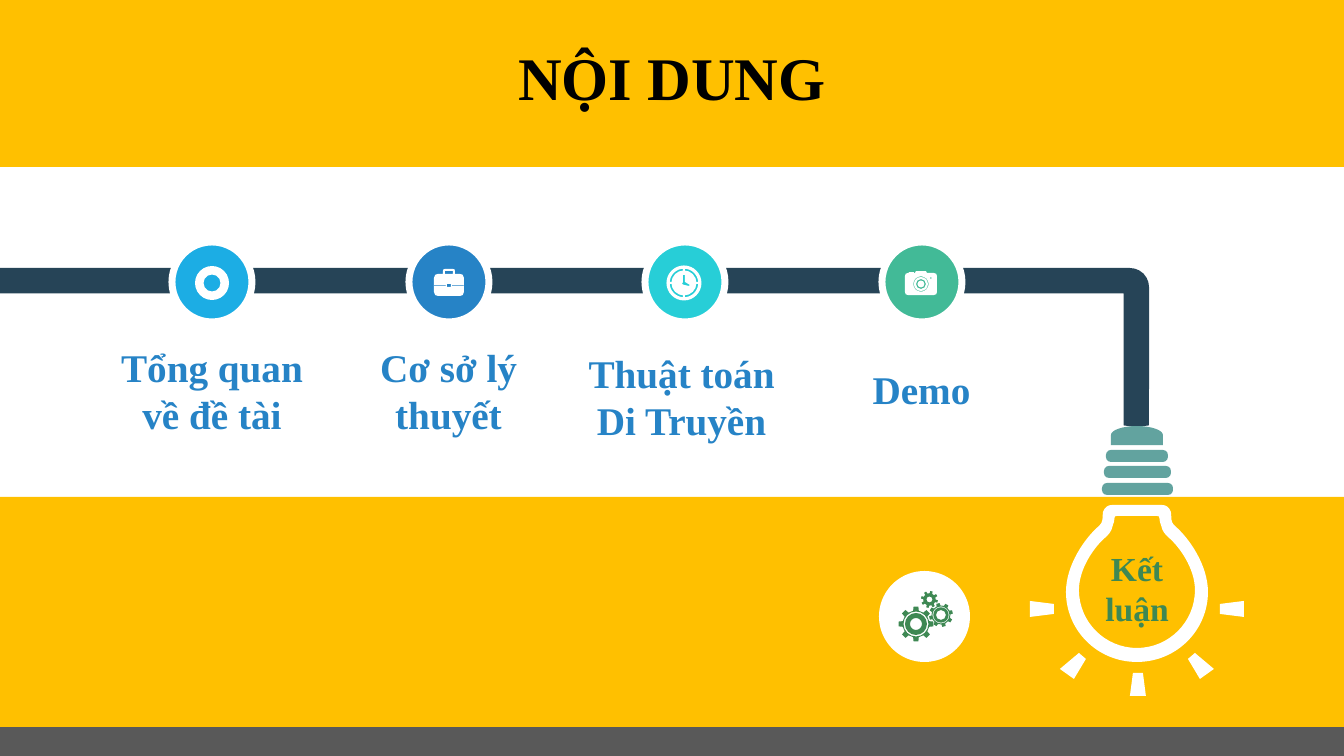
from math import cos, radians, sin

from lxml.etree import SubElement
from pptx import Presentation
from pptx.dml.color import RGBColor
from pptx.enum.shapes import MSO_SHAPE
from pptx.enum.text import MSO_ANCHOR, MSO_AUTO_SIZE, PP_ALIGN
from pptx.oxml.ns import qn
from pptx.util import Emu, Pt

COLORS = {
    "white": "FFFFFF", "amber": "FFC000", "gray": "595959", "navy": "264457",
    "teal": "62A39F", "green": "3E8853", "black": "000000", "sky": "1CADE4",
    "blue": "2683C6", "cyan": "27CED7", "mint": "42BA97",
}
BANDS = [(727, 29, "gray"), (0, 167, "amber"), (497, 230, "amber")]
NODE_COLORS = ["sky", "blue", "cyan", "mint"]
TOP, MIDDLE = MSO_ANCHOR.TOP, MSO_ANCHOR.MIDDLE
TEXTS = [
    ("NỘI DUNG", (0, 33, 1344, 86), 43.2, "black", MIDDLE),
    ("Tổng quan về đề tài", (110, 338, 204, 105), 28, "blue", MIDDLE),
    ("Cơ sở lý thuyết", (353, 338, 191, 105), 28, "blue", MIDDLE),
    ("Thuật toán Di Truyền", (575, 344, 213, 105), 28, "blue", MIDDLE),
    ("Demo", (826, 360, 191, 57), 28, "blue", MIDDLE),
    ("Kết luận", (1084, 543, 106, 92), 24, "green", TOP),
]

CAP_HALF = [(0, 445), (-26, 445), (-26, 435), (-26, 430, -14, 426, 0, 426)]
BULB_OUTER_HALF = [
    (0, 662), (-40, 662, -71, 630, -71, 592), (-71, 565, -52, 538, -38, 526),
    (-33, 521, -35, 519, -34, 512), (-32, 507, -29, 505, -25, 505),
]
BULB_INNER_HALF = [
    (0, 648), (-32, 648, -58, 622, -58, 590), (-58, 569, -43, 547, -31, 537),
    (-24, 530, -26, 530, -23, 522), (-22, 516, -23, 516, -19, 516),
]
SIDE_RAYS = [
    [(-107, 617), (-107, 601), (-83, 604), (-83, 614)],
    [(-63, 679), (-77, 669), (-58, 653), (-51, 659)],
]
BOTTOM_RAY = [(-7, 696), (9, 696), (6, 673), (-4, 673)]
CASE_HALF = [
    (0, 14), (-11, 14), (-13, 14, -15, 13, -15, 10), (-15, -4),
    (-15, -7, -13, -8, -11, -8), (-6, -8), (-6, -11), (-6, -13, -5, -13, -4, -13),
]
CAMERA_HALF = [
    (0, 13), (-13, 13), (-15, 13, -16, 12, -16, 10), (-16, -6),
    (-16, -8, -15, -9, -13, -9), (-6, -9), (-5, -11),
]
CLOCK_HANDS = [(-1, -8), (1, -8), (1, -1), (6, 2), (5, 3), (0, 2), (-2, 1), (-1, -1)]
GEARS = [
    (916, 624, 13.5, 17.5, -90, (12.5, 11, 6)),
    (941, 615, 9.5, 12, -105, (8.5, 7.7, 5)),
    (929.5, 599.5, 6.2, 8.5, -76, (3,)),
]
TEETH = 8
LAMP_X = 1137
NODE_Y, NODE_SIZE, FIRST_NODE_X, NODE_PITCH = 282, 80, 212, 236.6

deck = Presentation()


def emu(px):
    return Emu(round(px * 914400 / 100.8))


deck.slide_width, deck.slide_height = emu(1344), emu(756)
page = deck.slides.add_slide(deck.slide_layouts[6])


def paint(shape, color, outline=None):
    shape.shadow.inherit = False
    shape.fill.solid()
    shape.fill.fore_color.rgb = RGBColor.from_string(COLORS[color])
    if outline:
        shape.line.color.rgb = RGBColor.from_string(COLORS[outline])
        shape.line.width = Pt(5)
    else:
        shape.line.fill.background()
    return shape


def add_preset(kind, frame, color, outline=None):
    return paint(page.shapes.add_shape(kind, *map(emu, frame)), color, outline)


def add_outline(contours, color, origin=(0, 0)):
    loops = [[[emu(value + origin[i % 2]) for i, value in enumerate(segment)]
              for segment in contour] for contour in contours]
    builder = page.shapes.build_freeform(*loops[0][0], scale=1.0)
    for index, loop in enumerate(loops):
        if index:
            builder.move_to(*loop[0])
        builder.add_line_segments([segment[-2:] for segment in loop[1:]], close=True)
    shape = paint(builder.convert_to_shape(), color)
    corner = shape.left, shape.top
    segments = [segment for loop in loops for segment in loop[1:]]
    for node, segment in zip(list(shape.element.iter(qn("a:lnTo"))), segments):
        if len(segment) == 6:
            node.tag = qn("a:cubicBezTo")
            for child in list(node):
                node.remove(child)
            for i in (0, 2, 4):
                SubElement(node, qn("a:pt"), x=str(segment[i] - corner[0]),
                           y=str(segment[i + 1] - corner[1]))


def symmetric(half):
    ends = [segment[-2:] for segment in half]
    contour = half + [(-ends[-1][0], ends[-1][1])]
    for segment, (x, y) in reversed(list(zip(half[1:], ends))):
        bends = (-segment[2], segment[3], -segment[0], segment[1]) if len(segment) == 6 else ()
        contour.append((*bends, -x, y))
    return contour


def flip(points):
    return [(-x, y) for x, y in points]


def polar(x, y, radius, angle):
    return x + radius * cos(radians(angle)), y + radius * sin(radians(angle))


def circle(x, y, r):
    k = 0.55 * r
    return [(x + r, y), (x + r, y + k, x + k, y + r, x, y + r),
            (x - k, y + r, x - r, y + k, x - r, y),
            (x - r, y - k, x - k, y - r, x, y - r),
            (x + k, y - r, x + r, y - k, x + r, y)]


def rectangle(left, top, right, bottom):
    return [(left, top), (right, top), (right, bottom), (left, bottom)]


def gear(x, y, root, tip, turn, rings):
    profile = [(root, -12), (tip, -8), (tip, 8), (root, 12)]
    teeth = [polar(x, y, radius, turn + tooth * 360 / TEETH + offset)
             for tooth in range(TEETH) for radius, offset in profile]
    return [teeth] + [circle(x, y, ring) for ring in rings]


for top, height, color in BANDS:
    add_preset(MSO_SHAPE.RECTANGLE, (0, top, 1344, height), color)
add_preset(MSO_SHAPE.OVAL, (879, 571, 91, 91), "white")

pipe = add_preset(MSO_SHAPE.BENT_ARROW, (495, -227, 159, 1149), "navy")
pipe.rotation = 90
for index, value in enumerate((0.24, 0.08, 0.01, 0.12)):
    pipe.adjustments[index] = value

add_outline([symmetric(CAP_HALF)], "teal", (LAMP_X, 0))
for top, width in zip((450, 466, 483), (62, 67, 71)):
    ring = add_preset(MSO_SHAPE.ROUNDED_RECTANGLE,
                      (LAMP_X - width // 2, top, width, 12), "teal")
    ring.adjustments[0] = 0.42
add_outline(SIDE_RAYS + [flip(ray) for ray in SIDE_RAYS] + [BOTTOM_RAY],
            "white", (LAMP_X, 0))
add_outline([symmetric(BULB_OUTER_HALF), symmetric(BULB_INNER_HALF)],
            "white", (LAMP_X, 0))

node_centers = [round(FIRST_NODE_X + NODE_PITCH * i) for i in range(len(NODE_COLORS))]
for center, color in zip(node_centers, NODE_COLORS):
    add_preset(MSO_SHAPE.OVAL, (center - NODE_SIZE // 2, NODE_Y - NODE_SIZE // 2,
                                NODE_SIZE, NODE_SIZE), color, "white")

overview_x, theory_x, algorithm_x, demo_x = node_centers
add_preset(MSO_SHAPE.DONUT, (overview_x - 17, NODE_Y - 16, 34, 34), "white")
briefcase = [symmetric(CASE_HALF), rectangle(-4, -11, 4, -8), rectangle(-2, 2, 2, 5),
             rectangle(-15, 3.5, -3, 4.2), rectangle(3, 3.5, 15, 4.2)]
clock = [circle(0, 0, radius) for radius in (17.5, 14.3, 12.5)] + [CLOCK_HANDS]
for x, y in ((0, -13.4), (13.4, 0), (0, 13.4), (-13.4, 0)):
    clock.append(rectangle(x - 1, y - 1, x + 1, y + 1))
camera = [symmetric(CAMERA_HALF), rectangle(-12, -10, -7, -9), circle(10, -4, 1)] + [
    circle(0, 2, radius) for radius in (7.7, 7, 5, 3.5)]
add_outline(briefcase, "white", (theory_x, NODE_Y))
add_outline(clock, "white", (algorithm_x - 1, NODE_Y + 1))
add_outline(camera, "white", (demo_x - 1, NODE_Y))
for wheel in GEARS:
    add_outline(gear(*wheel), "green")

for words, frame, size, color, anchor in TEXTS:
    box = page.shapes.add_textbox(*map(emu, frame))
    frame_format = {"word_wrap": True, "vertical_anchor": anchor,
                    "auto_size": MSO_AUTO_SIZE.SHAPE_TO_FIT_TEXT}
    for name, value in frame_format.items():
        setattr(box.text_frame, name, value)
    para = box.text_frame.paragraphs[0]
    para.alignment = PP_ALIGN.CENTER
    span = para.add_run()
    span.text = words
    for name, value in {"name": "Times New Roman", "size": Pt(size), "bold": True}.items():
        setattr(span.font, name, value)
    span.font.color.rgb = RGBColor.from_string(COLORS[color])

deck.save("out.pptx")
